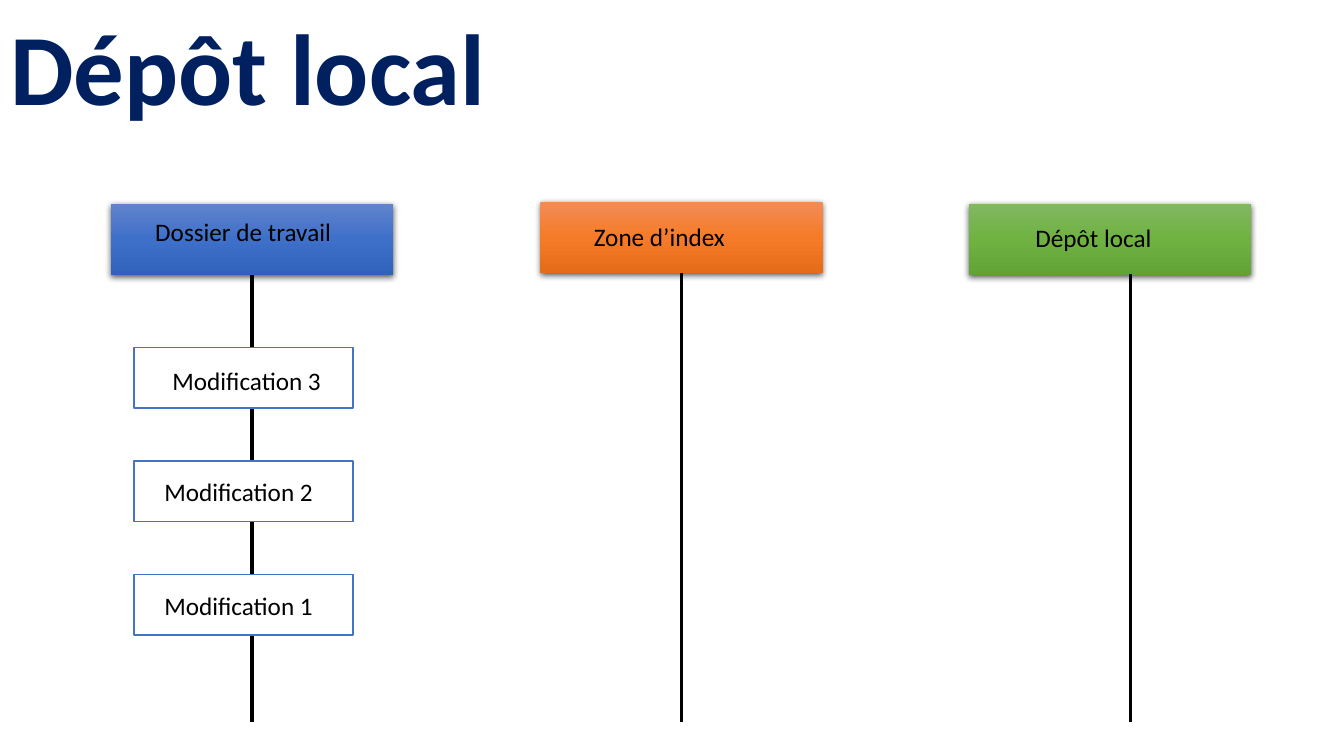
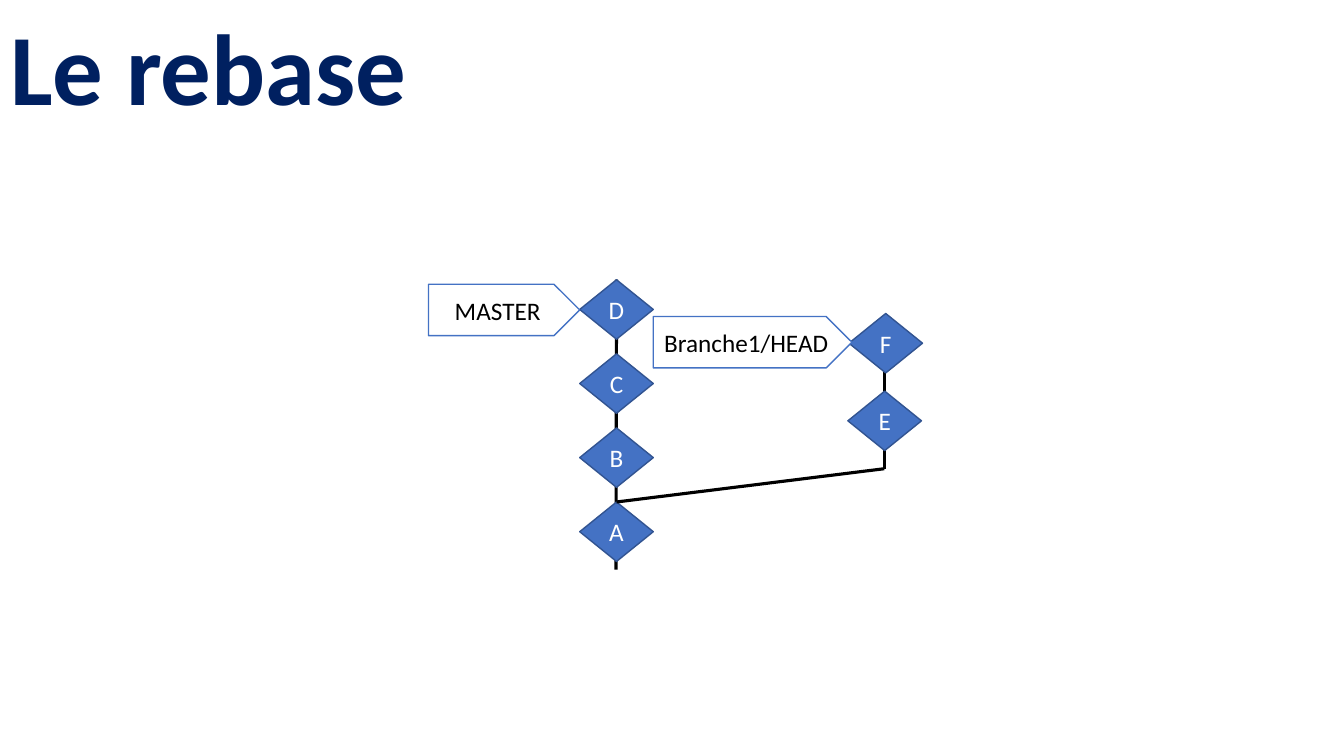
from copy import deepcopy
from lxml.etree import SubElement
from pptx import Presentation
from pptx.dml.color import RGBColor as RGB
from pptx.enum.shapes import MSO_CONNECTOR as LINE, MSO_SHAPE as SHAPE
from pptx.enum.text import MSO_ANCHOR as ANCHOR, MSO_AUTO_SIZE as FIT, PP_ALIGN as ALIGN
from pptx.oxml.ns import qn
from pptx.util import Inches, Pt

HUES = {
    "title": "002060", "ink": "000000", "paper": "FFFFFF",
    "blue": "4472C4", "edge": "325491",
}
FADES = {
    "blue": ["6183CB", "3E70CA", "3062BB"],
    "orange": ["F18C57", "F67B28", "E56C19"],
    "green": ["81B861", "6FB242", "62A336"],
}
FONT = "Calibri"
SHADE = {"blurRad": "57150", "dist": "19050", "dir": "5400000", "algn": "ctr", "rotWithShape": "0"}


def add_box(slide, kind, at, text, fill="paper", edge="blue", ink="ink", pad=None):
    """Add a labelled shape; pad gives left and top margins, else the text is centred."""
    box = slide.shapes.add_shape(kind, *map(Inches, at))
    box.shadow.inherit = False
    box.fill.solid()
    box.fill.fore_color.rgb = RGB.from_string(HUES[fill])
    if edge:
        box.line.color.rgb = RGB.from_string(HUES[edge])
        box.line.width = Pt(1)
    else:
        box.line.fill.background()
    left, top = pad or (0.05, 0.05)
    frame = box.text_frame
    form = {
        "text": text, "word_wrap": True,
        "vertical_anchor": ANCHOR.TOP if pad else ANCHOR.MIDDLE,
        "margin_left": Inches(left), "margin_top": Inches(top),
        "margin_right": Inches(0.05), "margin_bottom": Inches(0.05),
    }
    for key, val in form.items():
        setattr(frame, key, val)
    para = frame.paragraphs[0]
    para.alignment = ALIGN.LEFT if pad else ALIGN.CENTER
    for key, val in {"name": FONT, "size": Pt(18)}.items():
        setattr(para.font, key, val)
    para.font.color.rgb = RGB.from_string(HUES[ink])
    return box


def add_line(slide, x1, y1, x2, y2):
    line = slide.shapes.add_connector(LINE.STRAIGHT, *map(Inches, (x1, y1, x2, y2)))
    line.line.color.rgb = RGB.from_string(HUES["ink"])
    line.line.width = Pt(2.25)
    SubElement(line._element.spPr, qn("a:effectLst"))
    return line


deck = Presentation()
deck.slide_width, deck.slide_height = Inches(13.33), Inches(7.5)

# Slides with the shared title style
slides = []
for text in ("Dépôt local", "Le rebase"):
    slide = deck.slides.add_slide(deck.slide_layouts[5])
    title = slide.shapes.title
    place = {"left": 0, "top": 0, "width": 11.5, "height": 1.45}
    for key, val in place.items():
        setattr(title, key, Inches(val))
    form = {"text": text, "auto_size": FIT.NONE, "word_wrap": True, "vertical_anchor": ANCHOR.MIDDLE}
    for key, val in form.items():
        setattr(title.text_frame, key, val)
    para = title.text_frame.paragraphs[0]
    para.alignment, para.line_spacing = ALIGN.LEFT, 0.9
    for key, val in {"name": FONT, "size": Pt(72), "bold": True}.items():
        setattr(para.font, key, val)
    para.font.color.rgb = RGB.from_string(HUES["title"])
    slides.append(slide)
local, rebase = slides

# Three zones: gradient header with a lifeline
zones = [
    ("Dossier de travail", 1.1, 2.02, "blue", (0.44, 0.13), 2.5),
    ("Zone d’index", 5.36, 2, "orange", (0.53, 0.2), 6.76),
    ("Dépôt local", 9.61, 2.02, "green", (0.66, 0.19), 11.21),
]
for text, x, y, fade, pad, mid in zones:
    head = add_box(local, SHAPE.RECTANGLE, (x, y, 2.8, 0.71), text, edge=None, pad=pad)
    head.fill.gradient()
    head.fill.gradient_angle = 270
    props = head._element.spPr
    stops = props.find(".//" + qn("a:gsLst"))
    stops.insert(1, deepcopy(stops[0]))
    for i, stop in enumerate(head.fill.gradient_stops):
        stop.position = i / 2
        stop.color.rgb = RGB.from_string(FADES[fade][i])
    shade = SubElement(props.find(qn("a:effectLst")), qn("a:outerShdw"), SHADE)
    tint = SubElement(shade, qn("a:srgbClr"), val=HUES["ink"])
    SubElement(tint, qn("a:alpha"), val="63000")
    life = add_line(local, mid, 2.72, mid, 7.16)
    if abs(x + 1.4 - mid) < 0.01:
        life.begin_connect(head, 2)

# Changes waiting in the working folder
for i, pad in enumerate([(0.38, 0.17), (0.3, 0.15), (0.3, 0.16)]):
    add_box(local, SHAPE.RECTANGLE, (1.33, 3.45 + 1.125 * i, 2.17, 0.6),
            f"Modification {3 - i}", pad=pad)

# Commits of both branches on their lines
trunk = add_line(rebase, 6.11, 2.78, 6.11, 5.65)
add_line(rebase, 8.77, 3.53, 8.77, 4.65)
marks = {}
spots = [(name, 5.75, 4.98 - 0.735 * i) for i, name in enumerate("ABCD")]
for name, x, y in spots + [("E", 8.41, 3.88), ("F", 8.42, 3.11)]:
    marks[name] = add_box(rebase, SHAPE.DIAMOND, (x, y, 0.73, 0.59), name, "blue", "edge", "paper")
trunk.begin_connect(marks["D"], 0)
fork = add_line(rebase, 8.77, 4.65, 6.11, 4.98)
fork.end_connect(marks["A"], 0)

# Branch labels
for text, x, y, wide in [("MASTER", 4.25, 2.82, 1.5), ("Branche1/HEAD", 6.48, 3.14, 1.97)]:
    add_box(rebase, SHAPE.PENTAGON, (x, y, wide, 0.51), text)

deck.save("out.pptx")
